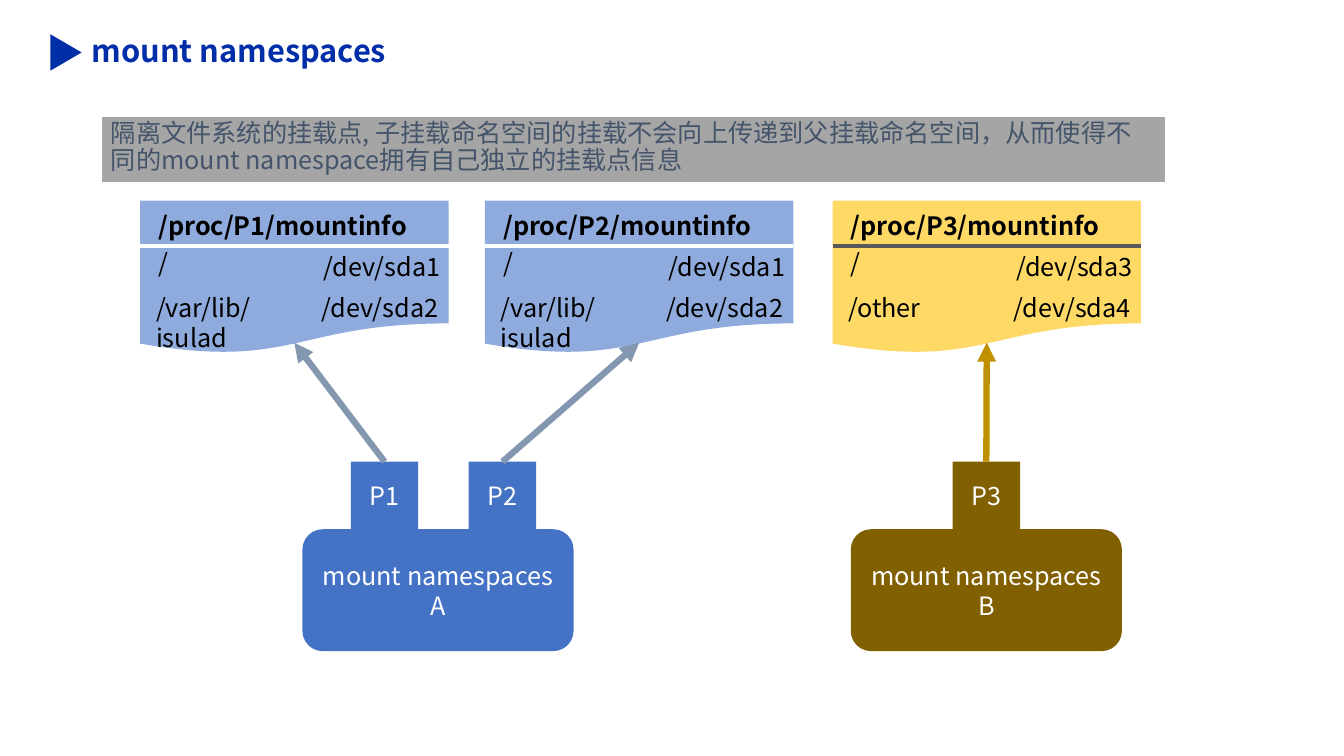
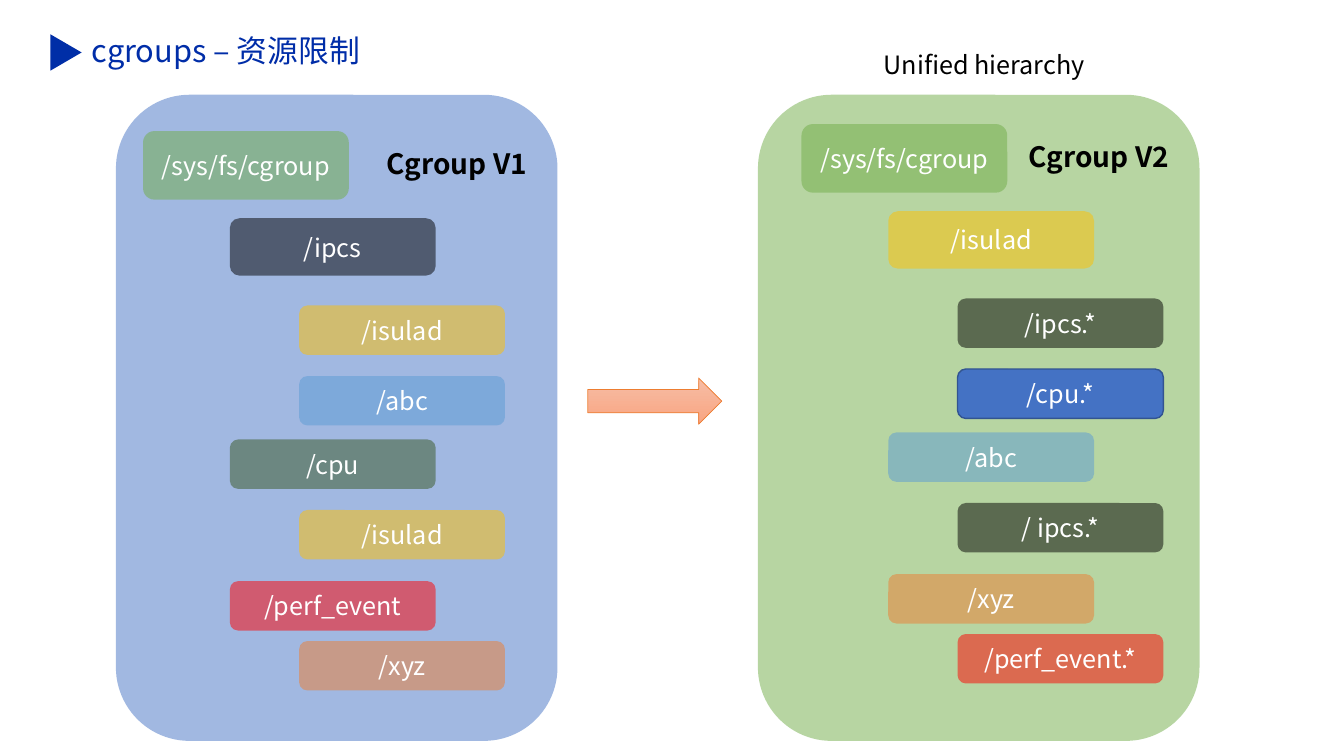
from lxml.etree import SubElement
from pptx import Presentation
from pptx.dml.color import RGBColor
from pptx.enum.shapes import MSO_CONNECTOR, MSO_SHAPE
from pptx.enum.text import MSO_ANCHOR, MSO_AUTO_SIZE, PP_ALIGN
from pptx.oxml.ns import qn
from pptx.util import Pt

FONT = "Noto Sans CJK SC"
NAVY = RGBColor(0x00, 0x2D, 0xA8)
MARK = RGBColor(0x00, 0x2E, 0xA7)
BLACK = RGBColor(0x00, 0x00, 0x00)
WHITE = RGBColor(0xFF, 0xFF, 0xFF)
GRAY = RGBColor(0xA5, 0xA5, 0xA5)
SLATE = RGBColor(0x44, 0x54, 0x6A)
STEEL = RGBColor(0x84, 0x97, 0xB0)
DARK = RGBColor(0x59, 0x59, 0x59)
BLUE = RGBColor(0x44, 0x72, 0xC4)
EDGE = RGBColor(0x32, 0x54, 0x91)
PALE = RGBColor(0x8F, 0xAA, 0xDC)
SKY = RGBColor(0x5B, 0x9B, 0xD5)
YELLOW = RGBColor(0xFF, 0xD9, 0x66)
GOLD = RGBColor(0xFF, 0xC0, 0x00)
OCHRE = RGBColor(0xBF, 0x90, 0x00)
BROWN = RGBColor(0x80, 0x60, 0x00)
GREEN = RGBColor(0x70, 0xAD, 0x47)
FOREST = RGBColor(0x38, 0x57, 0x23)
RED = RGBColor(0xFF, 0x00, 0x00)
ORANGE = RGBColor(0xED, 0x7D, 0x31)
PEACH = RGBColor(0xF7, 0xBD, 0xA5)
CORAL = RGBColor(0xF8, 0xA5, 0x82)

CARD = (220.3, 109.4)
HOOK = 101.5  # depth of the wavy edge at the card's middle
BASE = (193.7, 87.1)
SIDE = 48.2
PANEL = (315.4, 461.5)
# indent, top and height of each tree node
NODES = [(0, 0, 49), (62, 62.3, 41), (111.5, 124.6, 35.3), (111.5, 175, 35.3),
         (62, 220.3, 35.3), (111.5, 270.7, 35.3), (62, 321.5, 35.3),
         (111.5, 364.3, 35.3)]


def write(shape, text, size=18, color=BLACK, bold=False, align=PP_ALIGN.LEFT,
          anchor=MSO_ANCHOR.TOP, space=None, plain=False):
    """Fill a shape with one paragraph; plain drops the inherited bullet."""
    frame = shape.text_frame
    frame.word_wrap = True
    frame.auto_size = MSO_AUTO_SIZE.NONE
    frame.vertical_anchor = anchor
    para = frame.paragraphs[0]
    if plain:
        props = para._p.get_or_add_pPr()
        props.set("marL", "0")
        props.set("indent", "0")
        SubElement(props, qn("a:buNone"))
    para.alignment = align
    para.space_before = Pt(0)
    if space:
        para.line_spacing = space
    run = para.add_run()
    run.text = text
    font = run.font
    font.size, font.bold, font.name = Pt(size), bold, FONT
    font.color.rgb = color
    SubElement(run._r.get_or_add_rPr(), qn("a:ea"), typeface=FONT)


def place(shape, x, y, w, h):
    shape.left, shape.top, shape.width, shape.height = map(Pt, (x, y, w, h))


def label(slide, x, y, w, text, **style):
    box = slide.shapes.add_textbox(Pt(x), Pt(y), Pt(w), Pt(28.8))
    write(box, text, **style)


def block(slide, kind, x, y, w, h, fill, text=None, alpha=100, edge=None):
    shape = slide.shapes.add_shape(kind, Pt(x), Pt(y), Pt(w), Pt(h))
    shape.shadow.inherit = False
    shape.fill.solid()
    shape.fill.fore_color.rgb = fill
    if alpha < 100:
        tone = shape.element.spPr.find(qn("a:solidFill"))[0]
        SubElement(tone, qn("a:alpha"), val=str(alpha * 1000))
    if edge:
        shape.line.color.rgb = edge
        shape.line.width = Pt(1)
    else:
        shape.line.fill.background()
    if text:
        write(shape, text, color=WHITE, align=PP_ALIGN.CENTER,
              anchor=MSO_ANCHOR.MIDDLE)
    return shape


def link(slide, start, end, color, width, head=False):
    line = slide.shapes.add_connector(MSO_CONNECTOR.STRAIGHT,
                                      *map(Pt, start + end))
    line.line.color.rgb = color
    line.line.width = Pt(width)
    if head:
        SubElement(line.line._get_or_add_ln(), qn("a:tailEnd"),
                   type="triangle")
    SubElement(line.element.spPr, qn("a:effectLst"))
    return line


def start(deck, layout, title, bold=False):
    """Add a slide with its title."""
    slide = deck.slides.add_slide(deck.slide_layouts[layout])
    place(slide.shapes.title, 58.3, 22.3, 542, 30.2)
    write(slide.shapes.title, title, size=22, color=NAVY, bold=bold, space=0.9)
    return slide


def brand(deck, slide):
    """Draw the title marker and hand it to the slide master."""
    mark = block(slide, MSO_SHAPE.RIGHT_ARROW, 36, 24.5, 22.3, 26, MARK)
    mark.adjustments[0], mark.adjustments[1] = 0.5, 1
    deck.slide_master.shapes.element.append(mark.element)


def card(slide, x, y, name, rows, fill, rule):
    """Draw a mount table; return the point where an arrow meets it."""
    w, h = CARD
    block(slide, MSO_SHAPE.FLOWCHART_DOCUMENT, x, y, w, h, fill)
    label(slide, x + 6, y + 3.6, 209, name, bold=True)
    (root, first), (point, second) = rows
    label(slide, x + 6, y + 29.5, 33, root)
    label(slide, x + 4.3, y + 62, 130, point)
    label(slide, x + 124, y + 32.4, 100, first)
    label(slide, x + 122.5, y + 62, 100, second)
    link(slide, (x, y + 32.4), (x + w, y + 32.4), rule, 2.25)
    return x + w / 2, y + HOOK


def space(slide, x, y, name, tasks, fill, color):
    """Draw a namespace; tasks hold a name, an offset and an arrow target."""
    block(slide, MSO_SHAPE.ROUNDED_RECTANGLE, x, y, *BASE, fill, name)
    for task, shift, goal in tasks:
        left, top = x + shift, y - SIDE
        box = block(slide, MSO_SHAPE.RECTANGLE, left, top, SIDE, SIDE,
                    fill, task)
        arrow = link(slide, (left + SIDE / 2, top), goal, color, 4.5, True)
        arrow.begin_connect(box, 0)


def tree(slide, x, y, root, name, fill, items):
    """Draw a cgroup panel; root is the offset of its first node."""
    kind = MSO_SHAPE.ROUNDED_RECTANGLE
    block(slide, kind, x, y, *PANEL, fill, alpha=50)
    dx, dy = root
    for (indent, top, high), (text, color) in zip(NODES, items):
        solid = color == BLUE
        block(slide, kind, x + dx + indent, y + dy + top, 147, high, color,
              text, 100 if solid else 50, EDGE if solid else None)
    label(slide, x + 186.5, y + dy + 7.2, 130, name, size=20, bold=True)


def mounts(deck):
    slide = start(deck, 1, "mount namespaces", bold=True)
    brand(deck, slide)
    body = slide.placeholders[1]
    place(body, 72, 82.8, 761, 48.2)
    body.fill.solid()
    body.fill.fore_color.rgb = GRAY
    body.line.color.rgb = WHITE
    body.line.width = Pt(1.5)
    write(body, "隔离文件系统的挂载点, 子挂载命名空间的挂载不会向上传递到父挂载命名空间，"
          "从而使得不同的mount namespace拥有自己独立的挂载点信息",
          color=SLATE, space=0.9, plain=True)
    shared = [("/", "/dev/sda1"), ("/var/lib/isulad", "/dev/sda2")]
    other = [("/", "/dev/sda3"), ("/other", "/dev/sda4")]
    cards = [(100.1, shared, PALE, WHITE), (346.4, shared, PALE, WHITE),
             (594.7, other, YELLOW, DARK)]
    one, two, three = [
        card(slide, x, 143.3, f"/proc/P{i}/mountinfo", rows, fill, rule)
        for i, (x, rows, fill, rule) in enumerate(cards, 1)]
    space(slide, 216, 378, "mount namespaces A",
          [("P1", 34.6, one), ("P2", 118.8, two)], BLUE, STEEL)
    space(slide, 607.7, 378, "mount namespaces B",
          [("P3", (BASE[0] - SIDE) / 2, three)], BROWN, OCHRE)


def groups(deck):
    slide = start(deck, 5, "cgroups – 资源限制")
    tree(slide, 82.8, 67.7, (19.4, 25.9), "Cgroup V1", BLUE, [
        ("/sys/fs/cgroup", GREEN), ("/ipcs", BLACK), ("/isulad", GOLD),
        ("/abc", SKY), ("/cpu", FOREST), ("/isulad", GOLD),
        ("/perf_event", RED), ("/xyz", ORANGE)])
    tree(slide, 541.4, 67.7, (31.1, 20.9), "Cgroup V2", GREEN, [
        ("/sys/fs/cgroup", GREEN), ("/isulad", GOLD), ("/ipcs.*", BLACK),
        ("/cpu.*", BLUE), ("/abc", SKY), ("/ ipcs.*", BLACK),
        ("/xyz", ORANGE), ("/perf_event.*", RED)])
    arrow = block(slide, MSO_SHAPE.RIGHT_ARROW, 419.8, 270, 95.8, 33.1,
                  PEACH, edge=ORANGE)
    arrow.line.width = Pt(0.5)
    arrow.fill.gradient()
    arrow.fill.gradient_angle = 270
    for stop, color in zip(arrow.fill.gradient_stops, (PEACH, CORAL)):
        stop.color.rgb = color
    label(slide, 624.2, 31.7, 168, "Unified hierarchy")


def main():
    deck = Presentation()
    deck.slide_width, deck.slide_height = Pt(960), Pt(540)
    mounts(deck)
    groups(deck)
    deck.save("out.pptx")


if __name__ == "__main__":
    main()
